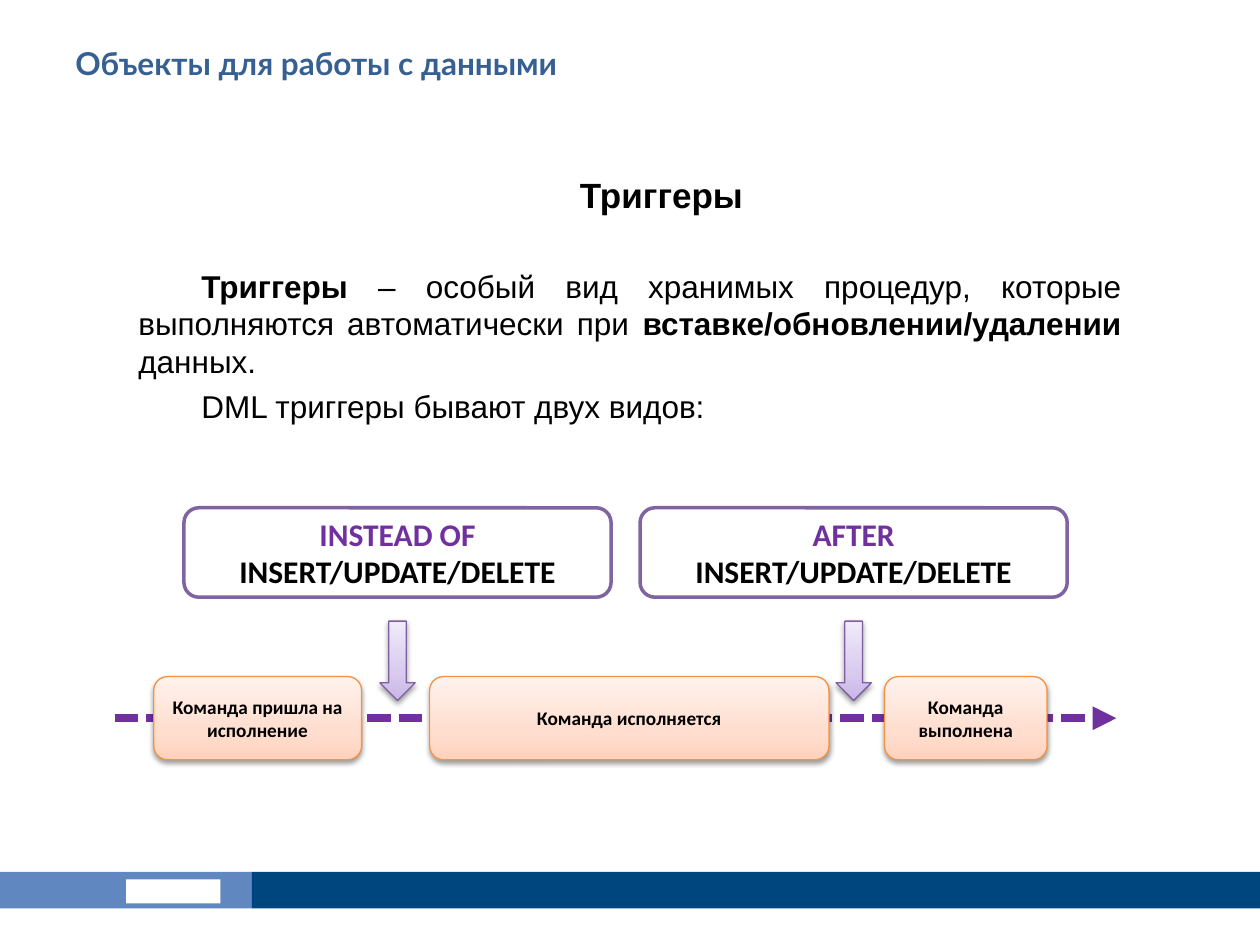
from copy import deepcopy
from dataclasses import dataclass

from lxml.etree import SubElement
from pptx import Presentation
from pptx.dml.color import RGBColor
from pptx.enum.dml import MSO_LINE
from pptx.enum.shapes import MSO_CONNECTOR, MSO_SHAPE
from pptx.enum.text import MSO_ANCHOR, PP_ALIGN
from pptx.oxml.ns import qn
from pptx.util import Inches, Pt

WIDTH, HEIGHT = Inches(10), Inches(7.5)
COLS, ROWS = 100, 75


@dataclass(frozen=True)
class Theme:
    """Colours, fonts and type sizes of the slide."""
    title: str = "376092"
    ink: str = "000000"
    paper: str = "FFFFFF"
    accent: str = "7030A0"
    frame: str = "8064A2"
    arrow: tuple = ("C9B5E8", "D8CBEE", "F0EAF9")
    edge: str = "7D60A0"
    step: tuple = ("FFD2BD", "FFDED0", "FFF2ED")
    rim: str = "F69240"
    light: str = "6087BF"
    dark: str = "00467E"
    head: str = "Lato"
    prose: str = "Arial"
    label: str = "Calibri"
    large: int = 20
    main: int = 18
    small: int = 11


@dataclass(frozen=True)
class Box:
    """An area in columns and rows of the slide grid."""
    x: float
    y: float
    w: float
    h: float

    def inner(self, x, y, w, h):
        """Return an area offset from this one's corner."""
        return Box(self.x + x, self.y + y, w, h)

    def place(self):
        """Return left, top, width and height as slide lengths."""
        return (int(self.x * WIDTH / COLS), int(self.y * HEIGHT / ROWS),
                int(self.w * WIDTH / COLS), int(self.h * HEIGHT / ROWS))


THEME = Theme()


def tint(hue):
    """Turn a hex string into a colour."""
    return RGBColor.from_string(hue)


def style(para, size, face, hue, bold=True, align=None):
    """Set the font and alignment of a paragraph."""
    para.alignment = align
    font = para.font
    font.size, font.name, font.bold = Pt(size), face, bold
    font.color.rgb = tint(hue)


def shape(slide, kind, box, fill, line=None, weight=1):
    """Add a flat shape; a tuple of colours makes a gradient."""
    item = slide.shapes.add_shape(kind, *box.place())
    item.shadow.inherit = False
    if isinstance(fill, tuple):
        blend(item, fill)
    else:
        item.fill.solid()
        item.fill.fore_color.rgb = tint(fill)
    if line:
        item.line.color.rgb = tint(line)
        item.line.width = Pt(weight)
    else:
        item.line.fill.background()
    return item


def blend(item, hues):
    """Fill a shape with three colours rising from its base, and shade it."""
    item.fill.gradient()
    props = item.element.spPr
    stops = props.find(qn("a:gradFill")).find(qn("a:gsLst"))
    stops.insert(1, deepcopy(stops[0]))
    for stop, hue, place in zip(item.fill.gradient_stops, hues, (0, 0.35, 1)):
        stop.color.rgb = tint(hue)
        stop.position = place
    item.fill.gradient_angle = 90
    shade = SubElement(props.find(qn("a:effectLst")), qn("a:outerShdw"),
                       blurRad=str(Pt(3.1)), dist=str(Pt(1.6)),
                       dir="5400000", rotWithShape="0")
    hue = SubElement(shade, qn("a:srgbClr"), val=THEME.ink)
    SubElement(hue, qn("a:alpha"), val="38000")


def write(item, lines, size, hues):
    """Centre bold lines of text in a shape."""
    frame = item.text_frame
    frame.word_wrap = True
    frame.vertical_anchor = MSO_ANCHOR.MIDDLE
    frame.text = "\n".join(lines)
    for para, hue in zip(frame.paragraphs, hues):
        style(para, size, THEME.label, hue, align=PP_ALIGN.CENTER)


def footer(slide, box):
    """Draw the two-tone band with a plain mark."""
    for x, width, hue in ((0, 20, THEME.light), (20, 80, THEME.dark)):
        shape(slide, MSO_SHAPE.RECTANGLE, box.inner(x, 0, width, box.h), hue)
    shape(slide, MSO_SHAPE.RECTANGLE, box.inner(10, 0.6, 7.5, 1.9), THEME.paper)


def title(slide, box):
    """Write the slide title."""
    frame = slide.shapes.add_textbox(*box.place()).text_frame
    frame.word_wrap = True
    frame.text = "Объекты для работы с данными"
    style(frame.paragraphs[0], THEME.main, THEME.head, THEME.title)


def body(slide, box):
    """Write the heading and the definition of triggers."""
    texts = (
        ((("Триггеры", True),), THEME.large, PP_ALIGN.CENTER, 0),
        ((("Триггеры", True),
          (" – особый вид хранимых процедур, которые выполняются "
           "автоматически при ", False),
          ("вставке/обновлении/удалении", True), (" данных.", False)),
         THEME.main, PP_ALIGN.JUSTIFY, 29),
        ((("DML триггеры бывают двух видов:", False),),
         THEME.main, PP_ALIGN.JUSTIFY, 4),
    )
    frame = slide.shapes.add_textbox(*box.place()).text_frame
    frame.word_wrap = True
    for rank, (runs, size, align, space) in enumerate(texts):
        para = frame.add_paragraph() if rank else frame.paragraphs[0]
        para._p.get_or_add_pPr().set("indent", str(Inches(0.5)))
        style(para, size, THEME.prose, THEME.ink, False, align)
        para.space_before = Pt(space)
        for text, bold in runs:
            run = para.add_run()
            run.text, run.font.bold = text, bold


def kinds(slide, box):
    """Draw each kind of trigger with an arrow below its middle."""
    gap, wide = 2.3, 2.8
    width = (box.w - gap) / 2
    for rank, name in enumerate(("INSTEAD OF", "AFTER")):
        cell = box.inner(rank * (width + gap), 0, width, box.h)
        card = shape(slide, MSO_SHAPE.ROUNDED_RECTANGLE,
                     cell.inner(0, 0, width, 7.1), THEME.paper, THEME.frame, 2)
        write(card, (name, "INSERT/UPDATE/DELETE"), THEME.main,
              (THEME.accent, THEME.ink))
        shape(slide, MSO_SHAPE.DOWN_ARROW,
              cell.inner((width - wide) / 2, 9, wide, 6.3),
              THEME.arrow, THEME.edge, 0.75)


def flow(slide, box):
    """Draw the dashed time line and the steps of a command."""
    left, top, width, high = box.place()
    mid = top + high // 2
    axis = slide.shapes.add_connector(MSO_CONNECTOR.STRAIGHT,
                                      left, mid, left + width, mid)
    axis.line.color.rgb = tint(THEME.accent)
    axis.line.width = Pt(4.5)
    axis.line.dash_style = MSO_LINE.SQUARE_DOT
    props = axis._element.spPr
    SubElement(props.find(qn("a:ln")), qn("a:tailEnd"), type="triangle")
    SubElement(props, qn("a:effectLst"))
    steps = ((3.1, 16.5, "Команда пришла на исполнение"),
             (25, 31.7, "Команда исполняется"),
             (61.1, 12.9, "Команда выполнена"))
    for x, wide, text in steps:
        step = shape(slide, MSO_SHAPE.ROUNDED_RECTANGLE,
                     box.inner(x, 0, wide, box.h), THEME.step, THEME.rim, 0.75)
        write(step, (text,), THEME.small, (THEME.ink,))


def main():
    """Build and save the slide."""
    deck = Presentation()
    deck.slide_width, deck.slide_height = WIDTH, HEIGHT
    slide = deck.slides.add_slide(deck.slide_layouts[6])
    footer(slide, Box(0, 69.2, 100, 2.9))
    title(slide, Box(5, 3, 90, 7.8))
    body(slide, Box(10, 13.3, 80, 52.5))
    kinds(slide, Box(14.6, 40.3, 70.1, 15.3))
    flow(slide, Box(9.1, 53.7, 79.5, 6.6))
    deck.save("out.pptx")


if __name__ == "__main__":
    main()
